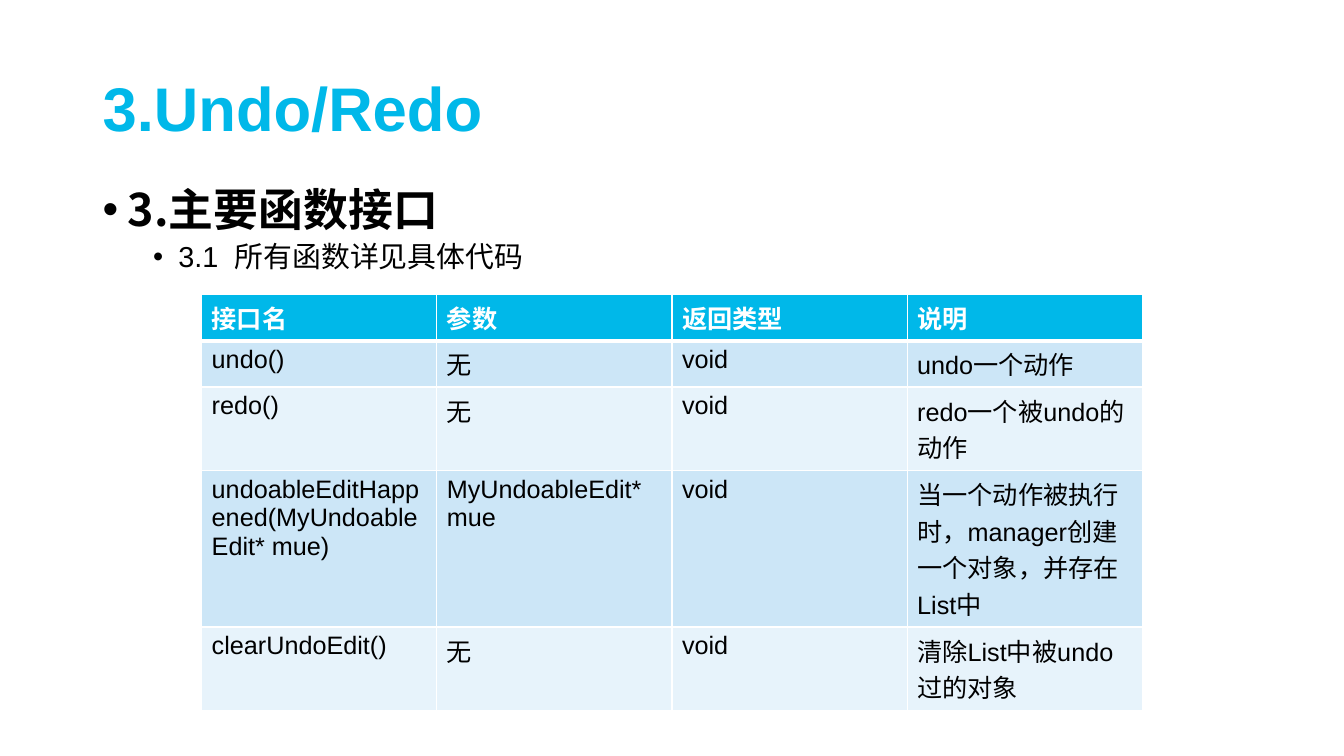
from lxml.etree import SubElement
from pptx import Presentation
from pptx.dml.color import RGBColor
from pptx.enum.text import MSO_ANCHOR
from pptx.oxml.ns import qn
from pptx.util import Inches, Pt

CYAN, WHITE, BLACK = "00B8E9", "FFFFFF", "000000"
BANDS = ["CCE6F7", "E7F3FB"]
CJK_FONT = "Noto Sans CJK SC"


def rgb(value):
    return RGBColor.from_string(value)


def style(para, size, color, bold=False, name="Arial"):
    """Format every run of a paragraph, with a CJK face for Chinese text."""
    for span in para.runs:
        span.font.size = Pt(size)
        span.font.bold = bold
        span.font.name = name
        span.font.color.rgb = rgb(color)
        SubElement(span.font._element, qn("a:ea"), typeface=CJK_FONT)


deck = Presentation()
deck.slide_width, deck.slide_height = Inches(13.33), Inches(7.5)
page = deck.slides.add_slide(deck.slide_layouts[6])

# Title
title_box = page.shapes.add_textbox(Inches(0.92), Inches(0.4), Inches(11.5), Inches(1.41))
title = title_box.text_frame
title.word_wrap = True
title.vertical_anchor = MSO_ANCHOR.MIDDLE
title.text = "3.Undo/Redo"
title.paragraphs[0].line_spacing = 0.9
style(title.paragraphs[0], 44, CYAN, bold=True)

# Bulleted body
body_box = page.shapes.add_textbox(Inches(0.92), Inches(1.81), Inches(11.5), Inches(4.76))
body_box.fill.solid()
body_box.fill.fore_color.rgb = rgb(WHITE)
body = body_box.text_frame
body.word_wrap = True
body.text = "3.主要函数接口\n3.1  所有函数详见具体代码"
heading, detail = body.paragraphs
style(heading, 32, BLACK, bold=True, name=CJK_FONT)
style(detail, 20.6, BLACK)
detail.level = 1
for para, margin, space in [(heading, 0.25, 10), (detail, 0.75, 5)]:
    para.line_spacing = 0.9
    para.space_before = Pt(space)
    props = para._p.get_or_add_pPr()
    props.set("marL", str(Inches(margin)))
    props.set("indent", str(Inches(-0.25)))
    SubElement(props, qn("a:buFont"), typeface="Arial")
    SubElement(props, qn("a:buChar"), char="•")

# Interface table: each row has its height and its texts
rows = [
    (0.46, ["接口名", "参数", "返回类型", "说明"]),
    (0.46, ["undo()", "无", "void", "undo一个动作"]),
    (0.83, ["redo()", "无", "void", "redo一个被undo的动作"]),
    (1.55, ["undoableEditHappened(MyUndoableEdit* mue)", "MyUndoableEdit* mue", "void",
            "当一个动作被执行时，manager创建一个对象，并存在List中"]),
    (0.83, ["clearUndoEdit()", "无", "void", "清除List中被undo过的对象"]),
]
table = page.shapes.add_table(len(rows), 4, Inches(2), Inches(2.92),
                              Inches(9.33), Inches(4.13)).table
for row_index, (height, texts) in enumerate(rows):
    is_header = row_index == 0
    table.rows[row_index].height = Inches(height)
    for column_index, text in enumerate(texts):
        cell = table.cell(row_index, column_index)
        cell.text = text
        style(cell.text_frame.paragraphs[0], 18, WHITE if is_header else BLACK, is_header)
        for side in "LRTB":
            thick = (row_index, side) in [(0, "B"), (1, "T")]
            border = SubElement(cell._tc.get_or_add_tcPr(), qn(f"a:ln{side}"),
                                w=str(Pt(3 if thick else 1)))
            SubElement(SubElement(border, qn("a:solidFill")), qn("a:srgbClr"), val=WHITE)
        cell.fill.solid()
        cell.fill.fore_color.rgb = rgb(CYAN if is_header else BANDS[(row_index - 1) % 2])

deck.save("out.pptx")
